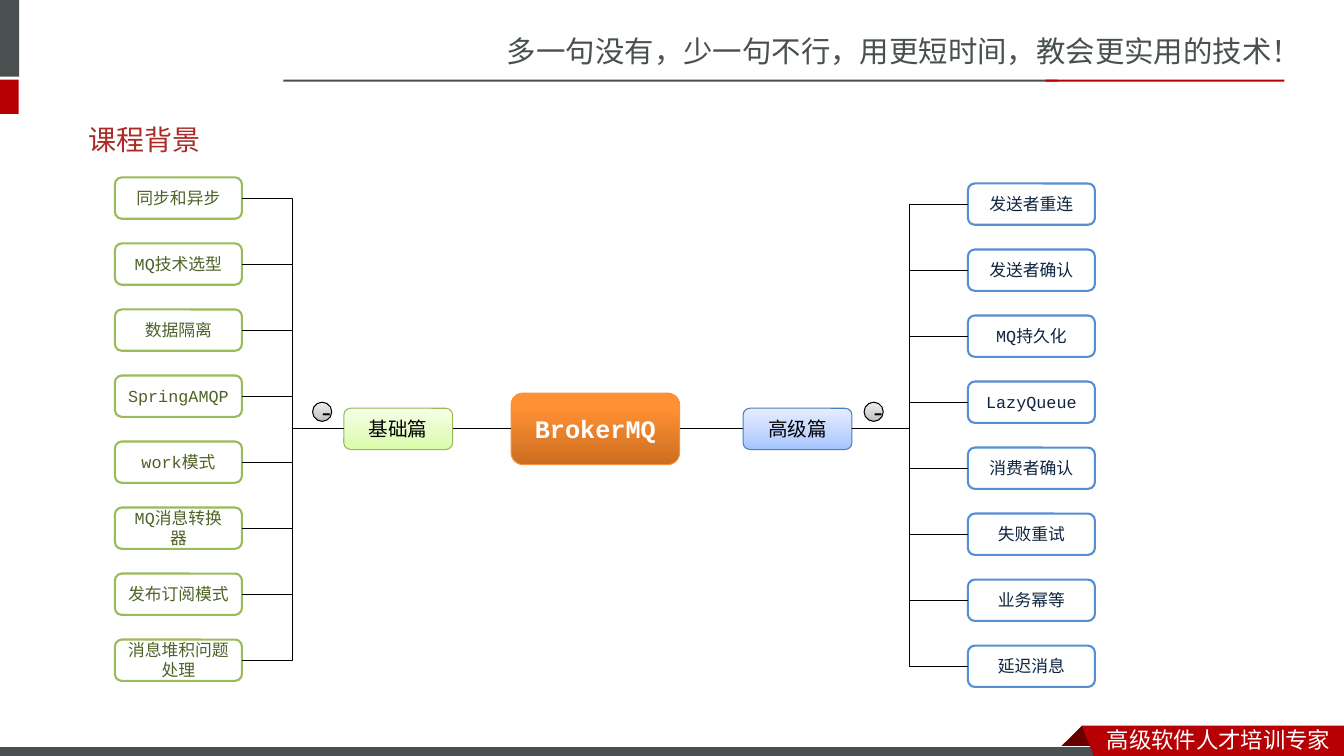
"""Build a course outline slide as a two-sided mind map."""
from copy import deepcopy

from pptx import Presentation
from pptx.dml.color import RGBColor
from pptx.enum.shapes import MSO_CONNECTOR, MSO_SHAPE
from pptx.enum.text import MSO_ANCHOR, PP_ALIGN
from pptx.oxml.ns import qn
from pptx.util import Inches, Pt

RECT, ROUND, OVAL = MSO_SHAPE.RECTANGLE, MSO_SHAPE.ROUNDED_RECTANGLE, MSO_SHAPE.OVAL
LINE, BENT = MSO_CONNECTOR.STRAIGHT, MSO_CONNECTOR.ELBOW
MID, TOP, LEFT, CENTER = MSO_ANCHOR.MIDDLE, MSO_ANCHOR.TOP, PP_ALIGN.LEFT, PP_ALIGN.CENTER
WEST, EAST = 1, 3
CELL = Inches(0.1)
MONO, SANS, LATO = "Courier New", "Noto Sans CJK SC", "Lato"
HEX = {
    "white": "FFFFFF", "black": "000000", "gray": "49504F", "red": "B60004",
    "wine": "680000", "title": "AD2A26", "amber": "F69240", "leaf": "98B955",
    "sea": "4B7EBC", "green": "9BBB59", "moss": "4F6228", "blue": "558ED5", "navy": "0F243E",
}
FADE = {
    "amber": [(0, "CC6E20"), (0.8, "FF9034"), (1, "FF9136")],
    "leaf": [(0, "DAFDA7"), (0.35, "E4FCC2"), (1, "F5FFE7")],
    "sea": [(0, "A4C4FF"), (0.35, "BFD4FF"), (1, "E6EEFF")],
    "black": [(0, "BDBDBD"), (0.35, "D1D1D1"), (1, "EEEEEE")],
}


class Board:
    """Hold the style and the current slide, and draw each kind of element."""

    def __init__(self, deck):
        self.slide = deck.slides.add_slide(deck.slide_layouts[6])
        self.shapes = self.slide.shapes

    def hue(self, name):
        return RGBColor.from_string(HEX[name])

    def grid(self, *cells):
        return [round(cell * CELL) for cell in cells]

    def letter(self, shape, text, size, font, color, bold=False, align=CENTER, anchor=MID):
        frame = shape.text_frame
        frame.word_wrap = True
        frame.vertical_anchor = anchor
        frame.text = text
        para = frame.paragraphs[0]
        para.alignment = align
        for run in para.runs:
            run.font.size = Pt(size)
            run.font.name = font
            run.font.bold = bold
            run.font.color.rgb = self.hue(color)
            latin = next(run._r.iter(qn("a:latin")))
            latin.addnext(latin.makeelement(qn("a:ea"), {"typeface": SANS}))

    def label(self, box, *style, anchor=TOP):
        self.letter(self.shapes.add_textbox(*self.grid(*box)), *style, align=LEFT, anchor=anchor)

    def paint(self, shape, fill, edge=None, width=0.75):
        shape.shadow.inherit = False
        shape.fill.solid()
        shape.fill.fore_color.rgb = self.hue(fill)
        if edge:
            shape.line.color.rgb = self.hue(edge)
            shape.line.width = Pt(width)
        else:
            shape.line.fill.background()
        return shape

    def form(self, kind, box, fill, edge=None, width=0.75):
        return self.paint(self.shapes.add_shape(kind, *self.grid(*box)), fill, edge, width)

    def glow(self, kind, box, tone, *style, bold=False):
        shape = self.form(kind, box, "white", tone)
        shape.fill.gradient()
        shape.fill.gradient_angle = 90
        last = list(shape._element.iter(qn("a:gs")))[-1]
        last.addnext(deepcopy(last))
        for stop, (place, color) in zip(shape.fill.gradient_stops, FADE[tone]):
            stop.color.rgb = RGBColor.from_string(color)
            stop.position = place
        self.letter(shape, *style, bold=bold)
        return shape

    def poly(self, points, fill):
        first, *rest = [self.grid(*point) for point in points]
        outline = self.shapes.build_freeform(*first)
        outline.add_line_segments(rest, close=True)
        self.paint(outline.convert_to_shape(), fill)

    def link(self, kind, start, out, end, into):
        line = self.shapes.add_connector(kind, 0, 0, 0, 0)
        line.begin_connect(start, out)
        line.end_connect(end, into)
        line.line.color.rgb = self.hue("black")
        line.line.width = Pt(0.75)
        props = line._element.spPr
        props.append(props.makeelement(qn("a:effectLst"), {}))

    def branch(self, hub, out, left, top, edge, ink, names):
        for row, name in enumerate(names):
            leaf = self.form(ROUND, (left, top + 6.55 * row, 12.6, 4.1), "white", edge, 1.5)
            self.letter(leaf, name, 12, MONO, ink)
            self.link(BENT, hub, out, leaf, WEST if out == EAST else EAST)


def main():
    deck = Presentation()
    deck.slide_width, deck.slide_height = Inches(13.33), Inches(7.5)
    board = Board(deck)

    board.label((49.3, 2.8, 84.1, 4.7), "多一句没有，少一句不行，用更短时间，教会更实用的技术！", 21, SANS, "gray")
    board.form(RECT, (0, 0, 1.9, 7.6), "gray")
    board.form(RECT, (0, 7.9, 1.85, 3.4), "red")
    board.form(RECT, (28.1, 7.9, 76.8, 0.2), "gray")
    board.form(RECT, (103.7, 7.9, 23.7, 0.2), "red")
    board.poly([(107.3, 72), (109.5, 74.2), (109.4, 74.3), (105.2, 74.3), (105.1, 74.2)], "wine")
    board.form(RECT, (-0.1, 74.1, 110, 1.2), "gray", "white")
    board.poly([(107.3, 72), (133.3, 72), (133.3, 75.4), (108.6, 75.3)], "red")
    board.label((108.8, 71.5, 24.5, 3.7), "高级软件人才培训专家", 16, SANS, "white")
    board.label((7.8, 11, 117.5, 5.7), "课程背景", 20, LATO, "title", anchor=MID)

    core = board.glow(ROUND, (50.7, 39, 16.7, 7.1), "amber", "BrokerMQ", 18, MONO, "white", bold=True)
    base = board.glow(ROUND, (34.1, 40.5, 10.8, 4.1), "leaf", "基础篇", 14, MONO, "black")
    pro = board.glow(ROUND, (73.7, 40.5, 10.8, 4.1), "sea", "高级篇", 14, MONO, "black")
    for left in (31, 85.7):
        board.glow(OVAL, (left, 39.9, 1.9, 1.9), "black", "-", 18, MONO, "black")
    board.link(LINE, core, WEST, base, EAST)
    board.link(LINE, pro, WEST, core, EAST)
    board.branch(base, WEST, 11.4, 17.6, "green", "moss", [
        "同步和异步", "MQ技术选型", "数据隔离", "SpringAMQP",
        "work模式", "MQ消息转换器", "发布订阅模式", "消息堆积问题处理"])
    board.branch(pro, EAST, 96, 18.2, "blue", "navy", [
        "发送者重连", "发送者确认", "MQ持久化", "LazyQueue",
        "消费者确认", "失败重试", "业务幂等", "延迟消息"])
    deck.save("out.pptx")


if __name__ == "__main__":
    main()
